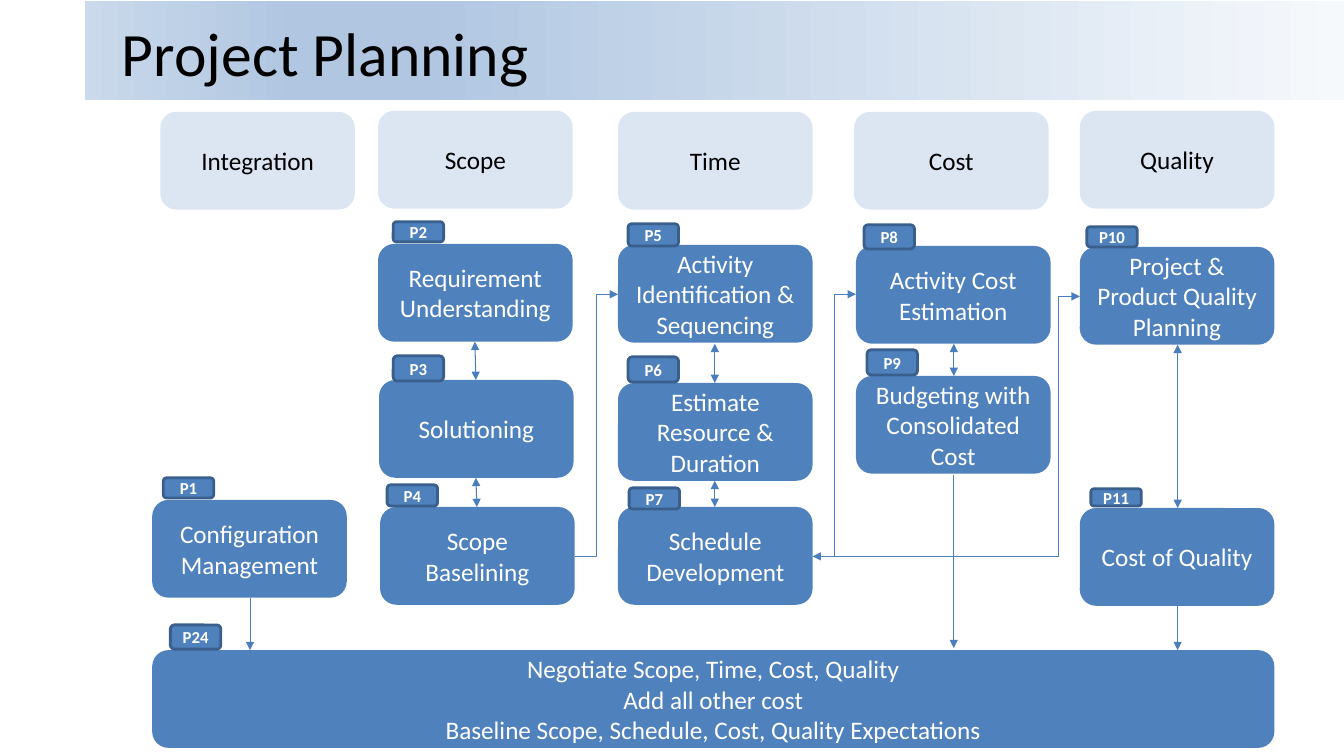
"""Build the Project Planning process map slide."""
from dataclasses import dataclass
from copy import deepcopy

from lxml import etree
from pptx import Presentation
from pptx.dml.color import RGBColor
from pptx.enum.shapes import MSO_CONNECTOR, MSO_SHAPE
from pptx.enum.text import MSO_ANCHOR, MSO_AUTO_SIZE, PP_ALIGN
from pptx.oxml.ns import qn
from pptx.util import Inches, Pt

ROUNDED, RECTANGLE = MSO_SHAPE.ROUNDED_RECTANGLE, MSO_SHAPE.RECTANGLE
STRAIGHT, ELBOW = MSO_CONNECTOR.STRAIGHT, MSO_CONNECTOR.ELBOW
LEFT, CENTER = PP_ALIGN.LEFT, PP_ALIGN.CENTER
MIDDLE = MSO_ANCHOR.MIDDLE
NO_AUTOFIT = MSO_AUTO_SIZE.NONE

FONT = "Calibri"
BLACK, WHITE = "000000", "FFFFFF"
AREA_FILL, PROCESS_FILL = "DCE6F2", "4F81BD"
BADGE_LINE, FLOW_LINE = "3A5F8C", "4B7EBC"
BOX_WIDTH, BOX_HEIGHT, BADGE_WIDTH = 1.93, 0.97, 0.5
BAND_STOPS = [(0, "F6F9FC"), (0.74, "B0C6E1"), (0.83, "B0C6E1"), (1, "CAD9EB")]


@dataclass(frozen=True)
class Box:
    text: str
    left: float
    top: float
    width: float = BOX_WIDTH
    height: float = BOX_HEIGHT


@dataclass(frozen=True)
class Flow:
    start: tuple[float, float]
    end: tuple[float, float]
    two_way: bool = False
    kind: int = STRAIGHT
    bend: float = 0.5


AREAS = [
    Box("Integration", 1.59, 1.11),
    Box("Scope", 3.75, 1.1),
    Box("Time", 6.13, 1.11),
    Box("Cost", 8.47, 1.11),
    Box("Quality", 10.71, 1.1),
]

PROCESSES = [
    Box("Configuration Management", 1.51, 4.96),
    Box("Requirement\nUnderstanding", 3.75, 2.42),
    Box("Solutioning", 3.76, 3.77),
    Box("Scope Baselining", 3.77, 5.03),
    Box("Activity Identification & Sequencing", 6.13, 2.43),
    Box("Estimate\nResource & Duration", 6.13, 3.8),
    Box("Schedule Development", 6.13, 5.03),
    Box("Activity Cost\nEstimation", 8.49, 2.44),
    Box("Budgeting with Consolidated Cost", 8.49, 3.73),
    Box("Project & Product Quality Planning", 10.71, 2.45),
    Box("Cost of Quality", 10.71, 5.04),
    Box("Negotiate Scope, Time, Cost, Quality\nAdd all other cost\n"
        "Baseline Scope, Schedule, Cost, Quality Expectations", 1.51, 6.45, width=11.13),
]

BADGES = [
    Box("P1", 1.62, 4.74, BADGE_WIDTH, 0.2),
    Box("P2", 3.9, 2.2, BADGE_WIDTH, 0.2),
    Box("P3", 3.9, 3.53, BADGE_WIDTH, 0.25),
    Box("P4", 3.84, 4.81, BADGE_WIDTH, 0.21),
    Box("P5", 6.23, 2.22, BADGE_WIDTH, 0.22),
    Box("P6", 6.23, 3.54, BADGE_WIDTH, 0.25),
    Box("P7", 6.24, 4.84, BADGE_WIDTH, 0.21),
    Box("P8", 8.57, 2.23, BADGE_WIDTH, 0.24),
    Box("P9", 8.6, 3.47, BADGE_WIDTH, 0.25),
    Box("P10", 10.78, 2.25, BADGE_WIDTH, 0.2),
    Box("P11", 10.82, 4.85, BADGE_WIDTH, 0.17),
    Box("P24", 1.69, 6.2, BADGE_WIDTH, 0.24),
]

FLOWS = [
    Flow((4.71, 3.39), (4.72, 3.77), two_way=True),
    Flow((4.72, 4.74), (4.73, 5.03), two_way=True),
    Flow((7.09, 3.41), (7.09, 3.8), two_way=True),
    Flow((7.09, 4.77), (7.09, 5.03), two_way=True),
    Flow((9.46, 3.41), (9.46, 3.73), two_way=True),
    Flow((11.68, 3.42), (11.68, 5.04), two_way=True),
    Flow((2.48, 5.93), (2.48, 6.45)),
    Flow((9.46, 4.71), (9.46, 6.43)),
    Flow((11.68, 6.01), (11.68, 6.45)),
    Flow((5.7, 5.52), (6.13, 2.92), kind=ELBOW),
    Flow((8.06, 5.52), (8.49, 2.92), kind=ELBOW),
    Flow((10.71, 2.94), (8.06, 5.52), two_way=True, kind=ELBOW, bend=0.08),
]


def rgb(color: str) -> RGBColor:
    return RGBColor.from_string(color)


def write_text(shape, text: str, *, size: float = 18, color: str = WHITE,
               bold: bool = False, align=CENTER) -> None:
    frame = shape.text_frame
    frame.text = text
    frame.word_wrap = True
    frame.auto_size = NO_AUTOFIT
    frame.vertical_anchor = MIDDLE
    for paragraph in frame.paragraphs:
        paragraph.alignment = align
        font = paragraph.font
        font.name, font.size, font.bold = FONT, Pt(size), bold
        font.color.rgb = rgb(color)


def place(shape, left: float, top: float, width: float, height: float) -> None:
    shape.left, shape.top = Inches(left), Inches(top)
    shape.width, shape.height = Inches(width), Inches(height)


def draw_box(slide, box: Box, fill: str, *, outline: str = "", **text_format) -> None:
    shape = slide.shapes.add_shape(ROUNDED, 0, 0, 0, 0)
    place(shape, box.left, box.top, box.width, box.height)
    shape.shadow.inherit = False
    shape.fill.solid()
    shape.fill.fore_color.rgb = rgb(fill)
    if outline:
        shape.line.color.rgb = rgb(outline)
        shape.line.width = Pt(2)
    else:
        shape.line.fill.background()
    write_text(shape, box.text, **text_format)


def draw_flow(slide, flow: Flow) -> None:
    points = [Inches(value) for value in (*flow.start, *flow.end)]
    connector = slide.shapes.add_connector(flow.kind, *points)
    connector.line.color.rgb = rgb(FLOW_LINE)
    connector.line.width = Pt(0.75)
    properties = connector._element.spPr
    line = properties.find(qn("a:ln"))
    for end in ("a:headEnd", "a:tailEnd") if flow.two_way else ("a:tailEnd",):
        etree.SubElement(line, qn(end), type="triangle")
    etree.SubElement(properties, qn("a:effectLst"))
    if flow.kind == ELBOW:
        adjustments = properties.find(qn("a:prstGeom")).find(qn("a:avLst"))
        etree.SubElement(adjustments, qn("a:gd"), name="adj1",
                         fmla=f"val {round(flow.bend * 100000)}")


def draw_title(slide) -> None:
    band = slide.shapes.add_shape(RECTANGLE, 0, 0, 0, 0)
    place(band, 0.84, 0.01, 12.49, 0.98)
    band.shadow.inherit = False
    band.line.fill.background()
    band.fill.gradient()
    band.fill.gradient_angle = 180
    stop_list = band._element.spPr.find(qn("a:gradFill")).find(qn("a:gsLst"))
    while len(stop_list) < len(BAND_STOPS):
        stop_list.append(deepcopy(stop_list[0]))
    for stop, (position, color) in zip(band.fill.gradient_stops, BAND_STOPS):
        stop.position = position
        stop.color.rgb = rgb(color)
    title = slide.shapes.title
    title._element.addprevious(band._element)
    place(title, 1.11, 0.06, 11.78, 0.91)
    write_text(title, "Project Planning", size=44, color=BLACK, align=LEFT)


def main() -> None:
    deck = Presentation()
    deck.slide_width, deck.slide_height = Inches(13.33), Inches(7.5)
    slide = deck.slides.add_slide(deck.slide_layouts[5])
    draw_title(slide)
    for area in AREAS:
        draw_box(slide, area, AREA_FILL, color=BLACK)
    for process in PROCESSES:
        draw_box(slide, process, PROCESS_FILL)
    for flow in FLOWS:
        draw_flow(slide, flow)
    for badge in BADGES:
        draw_box(slide, badge, PROCESS_FILL, outline=BADGE_LINE, size=12, bold=True)
    deck.save("out.pptx")


if __name__ == "__main__":
    main()
